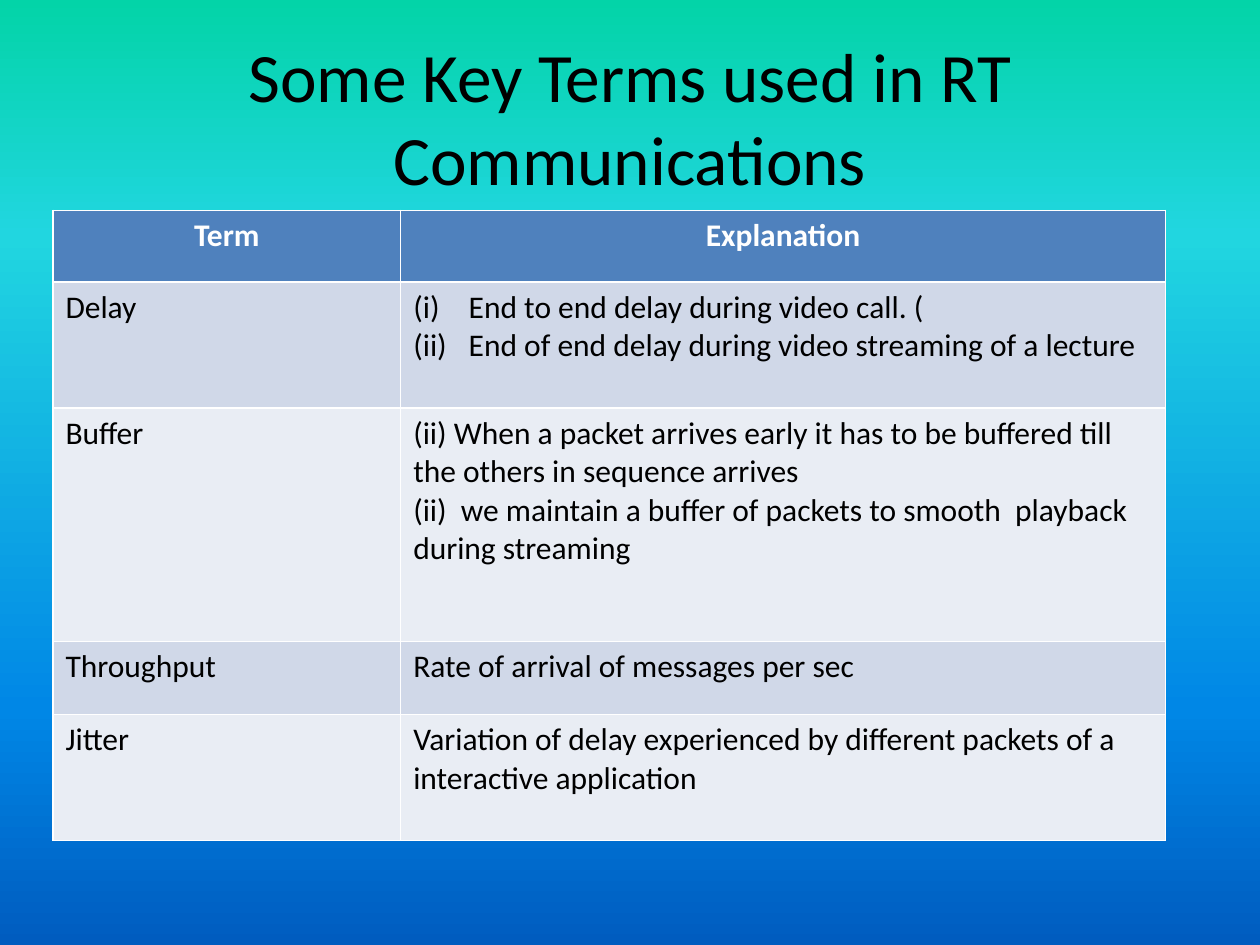
"""Build a slide with a table of key terms in real-time communications."""
from lxml import etree
from pptx import Presentation
from pptx.dml.color import RGBColor
from pptx.enum.text import MSO_ANCHOR, MSO_AUTO_SIZE, PP_ALIGN
from pptx.oxml.ns import qn
from pptx.util import Inches, Pt

CENTER, LEFT = PP_ALIGN.CENTER, PP_ALIGN.LEFT
MIDDLE, NO_FIT = MSO_ANCHOR.MIDDLE, MSO_AUTO_SIZE.NONE
COLORS = {
    "text": "000000", "header_text": "FFFFFF", "header": "4F81BD",
    "odd_row": "D0D8E8", "even_row": "E9EDF4",
}
GRADIENT = {0: "03D4A8", 25: "21D6E0", 75: "0087E6", 100: "005CBF"}
COLUMN_WIDTHS = [2.76, 6.07]
ROW_HEIGHTS = [0.57, 1, 1.85, 0.58, 1]
TERMS = [
    ("Term", ["Explanation"]),
    ("Delay", ["End to end delay during video call. (",
               "End of end delay during video streaming of a lecture"]),
    ("Buffer", ["(ii) When a packet arrives early it has to be buffered till the others in sequence arrives",
                "(ii)  we maintain a buffer of packets to smooth  playback during streaming"]),
    ("Throughput", ["Rate of arrival of messages per sec"]),
    ("Jitter", ["Variation of delay experienced by different packets of a interactive application"]),
]
NUMBERED_TERM = "Delay"


def write_span(para, text, color, **font_format):
    span = para.add_run()
    span.text = text
    span.font.name = "Calibri"
    span.font.color.rgb = RGBColor.from_string(COLORS[color])
    for name, value in font_format.items():
        setattr(span.font, name, value)


def number_para(para):
    properties = para._p.get_or_add_pPr()
    properties.set("marL", str(Inches(0.44)))
    properties.set("indent", str(Inches(-0.44)))
    etree.SubElement(properties, qn("a:buFont"), typeface="+mj-lt")
    etree.SubElement(properties, qn("a:buAutoNum"), type="romanLcParenBoth")


deck = Presentation()
deck.slide_width, deck.slide_height = Inches(10), Inches(7.5)
page = deck.slides.add_slide(deck.slide_layouts[5])

background = page.background.fill
background.gradient()
background.gradient_angle = 270
stops = page.element.find(".//" + qn("a:gsLst"))
for stop in list(stops):
    stops.remove(stop)
for percent, color in GRADIENT.items():
    stop = etree.SubElement(stops, qn("a:gs"), pos=str(percent * 1000))
    etree.SubElement(stop, qn("a:srgbClr"), val=color)

title = page.shapes.title
title.left, title.top = Inches(0.5), Inches(0.3)
title.width, title.height = Inches(9), Inches(1.25)
frame_format = {"word_wrap": True, "auto_size": NO_FIT, "vertical_anchor": MIDDLE}
for name, value in frame_format.items():
    setattr(title.text_frame, name, value)
title_para = title.text_frame.paragraphs[0]
title_para.alignment = CENTER
write_span(title_para, "Some Key Terms used in RT Communications", "text", size=Pt(39.6))

table = page.shapes.add_table(
    len(TERMS), len(COLUMN_WIDTHS), Inches(0.42), Inches(1.67),
    Inches(sum(COLUMN_WIDTHS)), Inches(sum(ROW_HEIGHTS))).table
for column, width in zip(table.columns, COLUMN_WIDTHS):
    column.width = Inches(width)
for row, height in zip(table.rows, ROW_HEIGHTS):
    row.height = Inches(height)

for row_index, (term, explanations) in enumerate(TERMS):
    is_header = row_index == 0
    fill_color = "header" if is_header else "odd_row" if row_index % 2 else "even_row"
    for column_index, lines in enumerate([[term], explanations]):
        cell = table.cell(row_index, column_index)
        cell.fill.solid()
        cell.fill.fore_color.rgb = RGBColor.from_string(COLORS[fill_color])
        for line_index, line in enumerate(lines):
            frame = cell.text_frame
            para = frame.add_paragraph() if line_index else frame.paragraphs[0]
            para.alignment = CENTER if is_header else LEFT
            if term == NUMBERED_TERM and column_index == 1:
                number_para(para)
            write_span(para, line, "header_text" if is_header else "text",
                       size=Pt(18), bold=is_header)

deck.save("out.pptx")
